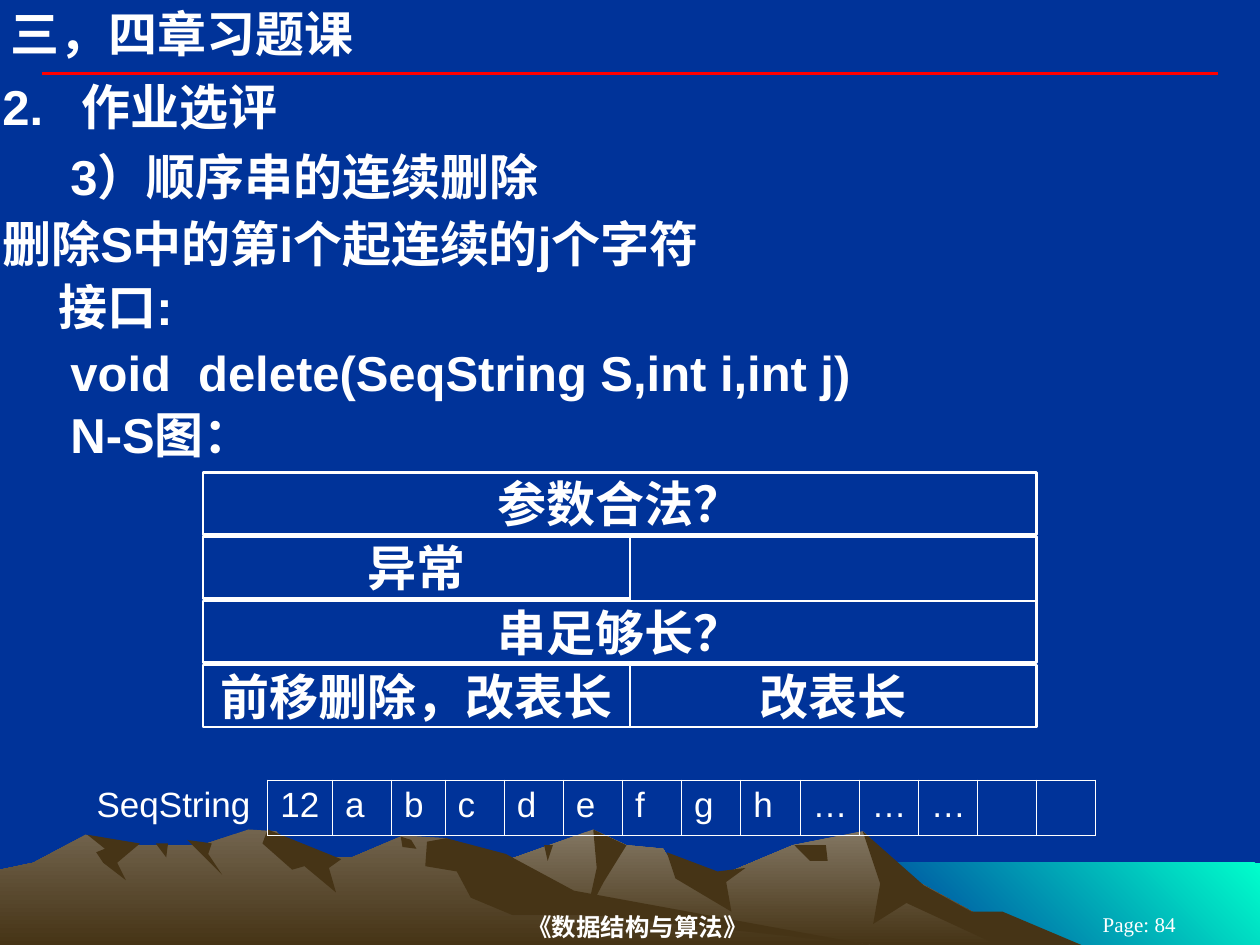
from lxml.etree import SubElement
from pptx import Presentation
from pptx.dml.color import RGBColor
from pptx.enum.shapes import MSO_CONNECTOR, MSO_SHAPE
from pptx.enum.text import MSO_ANCHOR as Anchor, MSO_AUTO_SIZE as AutoSize, PP_ALIGN as Align
from pptx.oxml.ns import qn
from pptx.util import Pt

NAVY = RGBColor(0x00, 0x33, 0x99)
AQUA = RGBColor(0x00, 0xFF, 0xCC)
RED = RGBColor(0xFF, 0x00, 0x00)
WHITE = RGBColor(0xFF, 0xFF, 0xFF)
STONE = RGBColor(0x83, 0x77, 0x63)
EARTH = RGBColor(0x72, 0x64, 0x4E)
SHADE = RGBColor(0x46, 0x34, 0x16)

deck = Presentation()
deck.slide_width, deck.slide_height = Pt(720), Pt(540)
page = deck.slides.add_slide(deck.slide_layouts[6])
page.background.fill.solid()
page.background.fill.fore_color.rgb = NAVY


def write(box, text, size=28, font="Arial", bold=True, align=Align.LEFT,
          anchor=Anchor.TOP, inset=(1.4, 0.7), indent=0):
    frame = box.text_frame
    frame.word_wrap = True
    frame.vertical_anchor = anchor
    frame.margin_left = frame.margin_right = Pt(inset[0])
    frame.margin_top = frame.margin_bottom = Pt(inset[1])
    para = frame.paragraphs[0]
    para.text = text
    para.alignment = align
    properties = para._p.get_or_add_pPr()
    properties.set("marL", str(Pt(indent)))
    if "\t" in text:
        tabs = SubElement(properties, qn("a:tabLst"))
        SubElement(tabs, qn("a:tab"), pos=str(Pt(45.5)), algn="l")
    para.font.name, para.font.size, para.font.bold = font, Pt(size), bold
    para.font.color.rgb = WHITE
    return frame


def draw(points, color, end_color=None, angle=270):
    builder = page.shapes.build_freeform(*points[0], scale=Pt(1))
    builder.add_line_segments(points[1:], close=True)
    outline = builder.convert_to_shape()
    outline.shadow.inherit = False
    outline.line.fill.background()
    if end_color is None:
        outline.fill.solid()
        outline.fill.fore_color.rgb = color
        return
    outline.fill.gradient()
    outline.fill.gradient_angle = angle
    for stop, stop_color in zip(outline.fill.gradient_stops, (color, end_color)):
        stop.color.rgb = stop_color


# Water and the far mountain with its shaded faces
draw([(720, 540), (492, 540), (492, 493), (720, 493)], AQUA, NAVY, 225)
draw([(590, 540), (521, 502), (493, 475), (453, 483), (408, 502), (386, 497), (379, 485),
      (358, 483), (339, 474), (297, 489), (235, 510), (186, 540)], STONE, SHADE)
far_shades = [
    [(493, 475), (528, 506), (555, 521), (573, 521), (618, 540), (570, 540), (518, 516),
     (499, 528), (503, 505)],
    [(339, 474), (358, 483), (345, 504), (335, 523), (341, 496)],
    [(381, 487), (410, 498), (426, 496), (415, 504), (418, 521), (386, 502)],
    [(454, 483), (472, 483), (473, 492), (463, 492)],
    [(311, 483), (316, 483), (313, 492)],
]
for points in far_shades:
    draw(points, SHADE)

# Near mountain with its shaded faces
draw([(497, 540), (311, 513), (255, 479), (238, 478), (229, 478), (201, 490), (170, 490),
      (158, 475), (142, 474), (115, 483), (68, 483), (49, 477), (19, 493), (0, 497),
      (0, 540)], EARTH, SHADE)
near_shades = [
    [(153, 474), (195, 491), (188, 496), (192, 510), (174, 495), (167, 497), (150, 482)],
    [(255, 479), (289, 488), (328, 509), (497, 540), (340, 523), (293, 523), (269, 513),
     (261, 498), (243, 495), (244, 481)],
    [(229, 478), (235, 480), (238, 485), (230, 484)],
    [(107, 480), (121, 482), (119, 488), (127, 500)],
    [(89, 482), (96, 482), (95, 490)],
    [(50, 477), (80, 482), (67, 493), (72, 503), (59, 493), (55, 487), (60, 485)],
]
for points in near_shades:
    draw(points, SHADE)

# Rule under the title
rule = page.shapes.add_connector(MSO_CONNECTOR.STRAIGHT, Pt(24), Pt(42), Pt(696), Pt(42))
rule.line.color.rgb, rule.line.width = RED, Pt(2.25)
SubElement(rule._element.spPr, qn("a:effectLst"))

# Footer and page number
footer = page.shapes.add_textbox(Pt(146.4), Pt(519.8), Pt(436), Pt(20))
write(footer, "《数据结构与算法》", 14, "Times New Roman", True, Align.CENTER, Anchor.MIDDLE, (0, 0.7))
number = page.shapes.add_textbox(Pt(594), Pt(522), Pt(114), Pt(12))
write(number, "Page: 84", 12, "Times New Roman", False, Align.CENTER, Anchor.MIDDLE, (7.2, 3.6))

# Title and text lines
title = page.shapes.add_textbox(Pt(6), Pt(2), Pt(468), Pt(34))
write(title, "三，四章习题课", inset=(0, 0))
lines = [
    (43.2, 0, "2.\t作业选评"),
    (82.8, 38.9, "3）顺序串的连续删除"),
    (121, 0, "删除S中的第i个起连续的j个字符"),
    (157, 32, "接口:"),
    (195, 38.9, "void  delete(SeqString S,int i,int j)"),
    (230.4, 38.9, "N-S图："),
]
for top, indent, text in lines:
    box = page.shapes.add_textbox(Pt(0), Pt(top), Pt(720), Pt(35.3))
    write(box, text, indent=indent).auto_size = AutoSize.SHAPE_TO_FIT_TEXT

# N-S diagram: full-width conditions above split branches
LEFT, MIDDLE, RIGHT = 116, 360, 592.2
diagram = [["参数合法？"], ["异常", ""], ["串足够长？"], ["前移删除，改表长", "改表长"]]
for row, texts in enumerate(diagram):
    edges = [LEFT, RIGHT] if len(texts) == 1 else [LEFT, MIDDLE, RIGHT]
    for text, start, end in zip(texts, edges, edges[1:]):
        height = 35.3 if text else 36.7
        block = page.shapes.add_shape(MSO_SHAPE.RECTANGLE, Pt(start), Pt(270 + 36.7 * row),
                                      Pt(end - start), Pt(height))
        block.shadow.inherit = False
        block.fill.background()
        block.line.color.rgb, block.line.width = WHITE, Pt(1.5)
        if text:
            write(block, text, align=Align.CENTER).auto_size = AutoSize.SHAPE_TO_FIT_TEXT

# Sequential string storage
values = ["SeqString", "12", *"abcdefgh", "…", "…", "…", "", ""]
widths = [105, 37, 33.8, 30.6] + [33.8] * 11
table = page.shapes.add_table(1, len(values), Pt(48), Pt(445.7), Pt(sum(widths)), Pt(31.5)).table
table.first_row = table.horz_banding = False
for index, (value, width) in enumerate(zip(values, widths)):
    table.columns[index].width = Pt(width)
    cell = table.cell(0, index)
    write(cell, value, 20, bold=False, inset=(7.2, 3.6))
    for side in ("lnL", "lnR", "lnT", "lnB"):
        border = SubElement(cell._tc.get_or_add_tcPr(), qn(f"a:{side}"), w=str(Pt(0.45)))
        if index or side == "lnR":
            fill = SubElement(border, qn("a:solidFill"))
            SubElement(fill, qn("a:srgbClr"), val=str(WHITE))
        else:
            SubElement(border, qn("a:noFill"))
    cell.fill.background()

deck.save("out.pptx")
